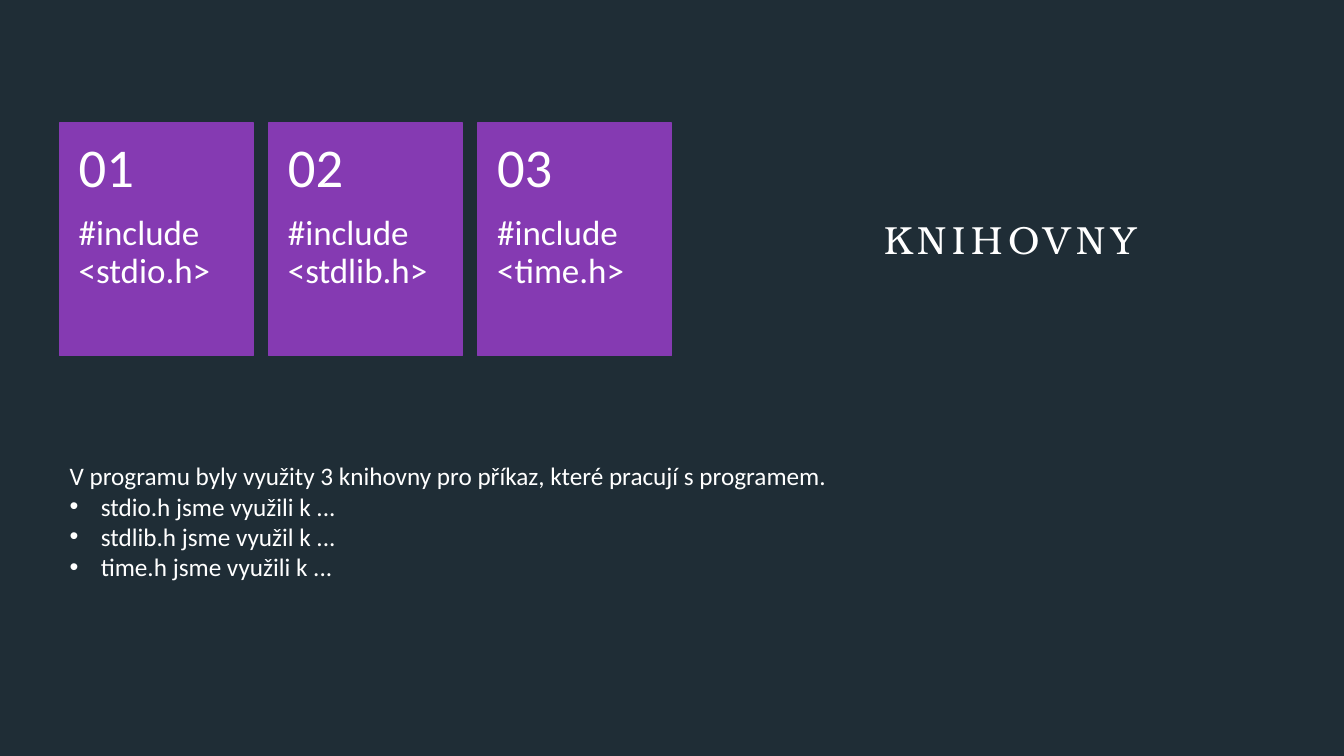
import dataclasses
import typing

import lxml.etree
import pptx
import pptx.dml.color
import pptx.enum.shapes
import pptx.enum.text
import pptx.oxml.ns
import pptx.util

WIDE, HIGH = pptx.util.Inches(13.33), pptx.util.Inches(7.5)
DARK, PURPLE, WHITE = "1F2D36", "853AB2", "FFFFFF"
SANS, SERIF = "Calibri", "TeX Gyre Bonum"
ANCHOR = pptx.enum.text.MSO_ANCHOR
FIT = pptx.enum.text.MSO_AUTO_SIZE


@dataclasses.dataclass(frozen=True)
class Box:
    """Place and size in inches."""
    left: float
    top: float
    width: float
    height: float

    def format(self) -> dict[str, int]:
        return {key: pptx.util.Inches(val)
                for key, val in dataclasses.asdict(self).items()}


@dataclasses.dataclass(frozen=True)
class Card:
    number: str
    label: str


CARDS = [
    Card("01", "#include <stdio.h>"),
    Card("02", "#include <stdlib.h>"),
    Card("03", "#include <time.h>"),
]
LEFT, TOP, WIDTH, STEP = 0.59, 1.22, 1.92, 2.075
HEAD, FOOT = 0.92, 1.39
INTRO = "V programu byly využity 3 knihovny pro příkaz, které pracují s programem."
USES = [
    "stdio.h jsme využili k ...",
    "stdlib.h jsme využil k ...",
    "time.h jsme využili k ...",
]


def paint(part: typing.Any, color: str) -> None:
    """Give a fill one solid colour."""
    part.solid()
    part.fore_color.rgb = pptx.dml.color.RGBColor.from_string(color)


def apply(item: typing.Any, values: dict[str, typing.Any]) -> None:
    """Set each named attribute of the item."""
    for key, val in values.items():
        setattr(item, key, val)


def style(line: typing.Any, size: float, face: str = SANS) -> None:
    """Format the text of one paragraph."""
    for run in line.runs:
        apply(run.font, {"size": pptx.util.Pt(size), "name": face, "bold": False})
        paint(run.font.fill, WHITE)


def insets(left: float, top: float, right: float, low: float) -> dict[str, int]:
    sides = ("left", "top", "right", "bottom")
    return {f"margin_{side}": pptx.util.Inches(val)
            for side, val in zip(sides, (left, top, right, low))}


def bullet(line: typing.Any, mark: str = "") -> None:
    """Hang the line from a mark, or clear its bullet when there is none."""
    props = line._p.get_or_add_pPr()
    hang = pptx.util.Inches(0.31) if mark else 0
    props.set("marL", str(hang))
    props.set("indent", str(-hang))
    name = "a:buChar" if mark else "a:buNone"
    node = lxml.etree.SubElement(props, pptx.oxml.ns.qn(name))
    if mark:
        node.set("char", mark)


def add_text(slide: typing.Any, box: Box, text: str, size: float,
             values: dict[str, typing.Any]) -> None:
    frame = slide.shapes.add_textbox(**box.format()).text_frame
    apply(frame, {"word_wrap": True, "text": text, **values})
    line = frame.paragraphs[0]
    line.line_spacing = 0.9
    style(line, size)


def add_card(slide: typing.Any, card: Card, left: float) -> None:
    box = Box(left, TOP, WIDTH, HEAD + FOOT)
    tile = slide.shapes.add_shape(
        pptx.enum.shapes.MSO_SHAPE.RECTANGLE, **box.format())
    tile.shadow.inherit = False
    paint(tile.fill, PURPLE)
    paint(tile.line.fill, PURPLE)
    tile.line.width = pptx.util.Pt(0.75)
    add_text(slide, Box(left, TOP + HEAD, WIDTH, FOOT), card.label, 25,
             {"vertical_anchor": ANCHOR.TOP, **insets(0.19, 0, 0.19, 0.36)})
    add_text(slide, Box(left, TOP, WIDTH, HEAD), card.number, 39,
             {"vertical_anchor": ANCHOR.MIDDLE, **insets(0.19, 0.18, 0.19, 0.18)})


def fill_title(title: typing.Any) -> None:
    apply(title, Box(7.89, 1.18, 4.26, 2.38).format())
    apply(title.text_frame, {
        "text": "KNIHOVNY", "word_wrap": True, "auto_size": FIT.NONE,
        "vertical_anchor": ANCHOR.MIDDLE, **insets(0, 0, 0, 0)})
    line = title.text_frame.paragraphs[0]
    line.alignment = pptx.enum.text.PP_ALIGN.CENTER
    style(line, 28, SERIF)
    line.runs[0].font._element.set("spc", "400")


def fill_list(body: typing.Any) -> None:
    apply(body, Box(LEFT, 4.52, 12.11, 1.31).format())
    frame = body.text_frame
    apply(frame, {"text": "\n".join([INTRO, *USES]), "word_wrap": True,
                  "auto_size": FIT.SHAPE_TO_FIT_TEXT})
    for order, line in enumerate(frame.paragraphs):
        line.space_before = pptx.util.Pt(0)
        bullet(line, "•" if order else "")
        style(line, 18)


def main() -> None:
    deck = pptx.Presentation()
    apply(deck, {"slide_width": WIDE, "slide_height": HIGH})
    slide = deck.slides.add_slide(deck.slide_layouts[1])
    paint(slide.background.fill, DARK)
    fill_title(slide.shapes.title)
    fill_list(slide.placeholders[1])
    for order, card in enumerate(CARDS):
        add_card(slide, card, LEFT + order * STEP)
    deck.save("out.pptx")


if __name__ == "__main__":
    main()
